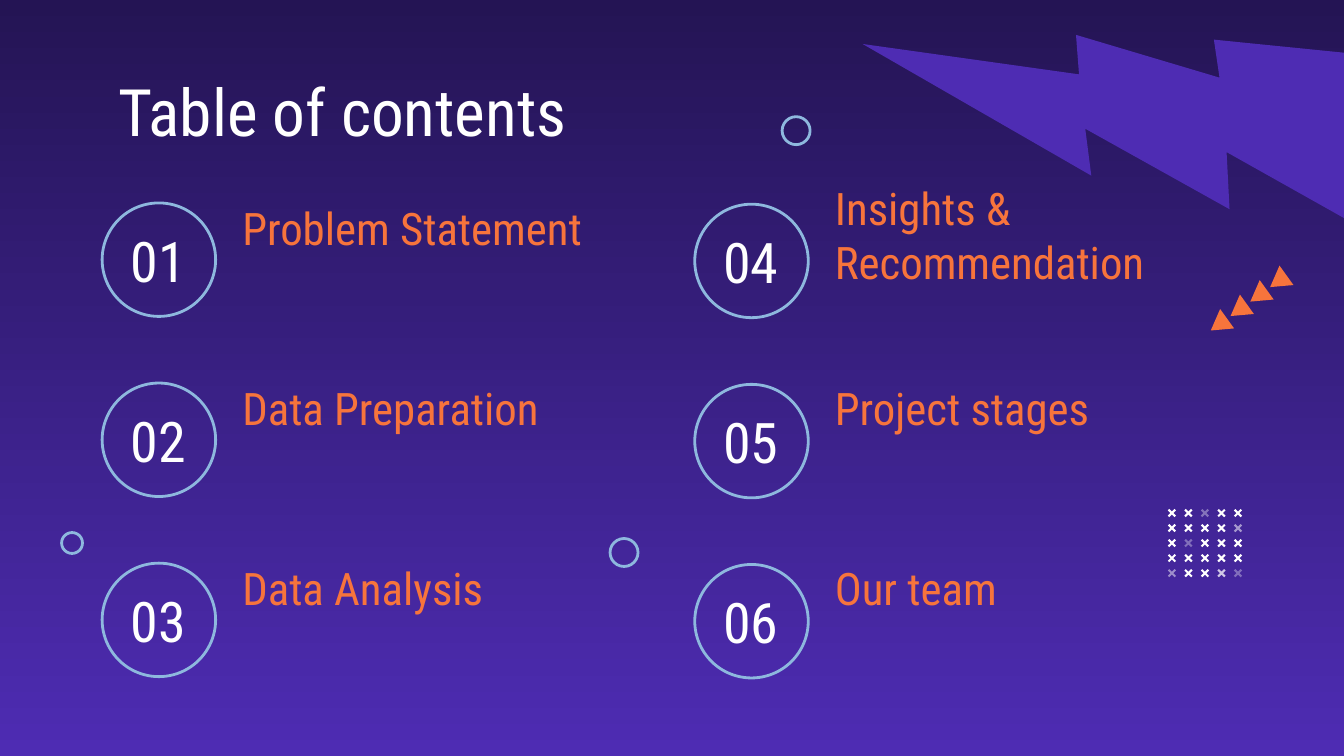
from pptx import Presentation
from pptx.dml.color import RGBColor
from pptx.enum.shapes import MSO_SHAPE
from pptx.enum.text import MSO_ANCHOR, PP_ALIGN
from pptx.oxml.ns import qn
from pptx.util import Pt
from lxml import etree

OVAL = MSO_SHAPE.OVAL
TRIANGLE = MSO_SHAPE.ISOSCELES_TRIANGLE
BOLT = MSO_SHAPE.LIGHTNING_BOLT
CROSS = MSO_SHAPE.CROSS
TOP, MIDDLE = MSO_ANCHOR.TOP, MSO_ANCHOR.MIDDLE
LEFT, CENTER = PP_ALIGN.LEFT, PP_ALIGN.CENTER

FONT = "Roboto Condensed"
NIGHT, VIOLET = "241454", "4E2CB3"
ORANGE, SKY, WHITE = "F7743C", "8EB8DE", "FFFFFF"

COLUMNS = [
    (54.7, 108.7, [("01", "Problem Statement", 0),
                   ("02", "Data Preparation", 0),
                   ("03", "Data Analysis", 0)]),
    (372.2, 109.4, [("04", "Insights & Recommendation", 2.9),
                    ("05", "Project stages", -0.7),
                    ("06", "Our team", -0.7)]),
]
ROW_PITCH = 96.5
RINGS = [(33, 285.3, 11.2), (419, 62.5, 15), (326.8, 288.5, 15)]
FADED_CROSSES = {(0, 2): 36, (1, 4): 53, (2, 1): 34,
                 (4, 0): 48, (4, 3): 75, (4, 4): 33}


def color(hex_value):
    return RGBColor.from_string(hex_value)


def add_solid(shapes, kind, left, top, width, height, fill, rotation):
    solid = shapes.add_shape(kind, Pt(left), Pt(top), Pt(width), Pt(height))
    solid.shadow.inherit = False
    solid.fill.solid()
    solid.fill.fore_color.rgb = color(fill)
    solid.line.fill.background()
    solid.rotation = rotation
    return solid


def add_ring(shapes, left, top, size):
    ring = shapes.add_shape(OVAL, Pt(left), Pt(top), Pt(size), Pt(size))
    ring.shadow.inherit = False
    ring.fill.background()
    ring.line.color.rgb = color(SKY)
    ring.line.width = Pt(1.5)


def add_text(shapes, left, top, width, height, text, size, text_color,
             anchor=MIDDLE, align=LEFT):
    box = shapes.add_textbox(Pt(left), Pt(top), Pt(width), Pt(height))
    frame = box.text_frame
    frame.word_wrap = True
    frame.vertical_anchor = anchor
    frame.margin_left = frame.margin_right = Pt(7.2)
    frame.margin_top = frame.margin_bottom = Pt(7.2)
    paragraph = frame.paragraphs[0]
    paragraph.alignment = align
    run = paragraph.add_run()
    run.text = text
    run.font.name = FONT
    run.font.size = Pt(size)
    run.font.color.rgb = color(text_color)


def paint_background(slide):
    fill = slide.background.fill
    fill.gradient()
    fill.gradient_angle = 270
    for stop, shade in zip(fill.gradient_stops, (NIGHT, VIOLET)):
        stop.color.rgb = color(shade)


def add_bolt(shapes, left, top, size):
    bolt = add_solid(shapes, BOLT, left, top, size, size, VIOLET, 59.9)
    bolt.element.spPr.find(qn("a:xfrm")).set("flipH", "1")


def add_entry(shapes, left, top, number, topic, topic_drop):
    add_ring(shapes, left, top, 60.8)
    add_text(shapes, left - 2, top - 4, 64, 69, number, 30, WHITE, align=CENTER)
    add_text(shapes, left + 68, top + topic_drop, 245.5, 26.6, topic, 24, ORANGE)


def add_column(shapes, left, top, entries):
    for row, entry in enumerate(entries):
        add_entry(shapes, left, top + row * ROW_PITCH, *entry)


def add_cross_grid(shapes, left, top):
    group = shapes.add_group_shape()
    for row in range(5):
        for column in range(5):
            cross = add_solid(group.shapes, CROSS, left + column * 8.85,
                              top + row * 8.05, 5.1, 5.1, WHITE, 315)
            cross.adjustments[0] = 0.39
            opacity = FADED_CROSSES.get((row, column))
            if opacity:
                tint = cross.element.spPr.find(qn("a:solidFill"))[0]
                alpha = etree.SubElement(tint, qn("a:alpha"))
                alpha.set("val", str(opacity * 1000))


def add_triangle_trail(shapes, left, top):
    group = shapes.add_group_shape()
    for step in range(4):
        add_solid(group.shapes, TRIANGLE, left + step * 10.6, top - step * 7.75,
                  12.8, 10.8, ORANGE, 234.2)


def main():
    deck = Presentation()
    deck.slide_width, deck.slide_height = Pt(720), Pt(405)
    slide = deck.slides.add_slide(deck.slide_layouts[6])
    shapes = slide.shapes
    paint_background(slide)
    add_bolt(shapes, 504, -49, 228.2)
    add_text(shapes, 56.2, 31, 607, 46, "Table of contents", 35, WHITE, anchor=TOP)
    for left, top, entries in COLUMNS:
        add_column(shapes, left, top, entries)
    add_cross_grid(shapes, 625.3, 272.3)
    for ring in RINGS:
        add_ring(shapes, *ring)
    add_triangle_trail(shapes, 646.6, 168.5)
    deck.save("out.pptx")


if __name__ == "__main__":
    main()
